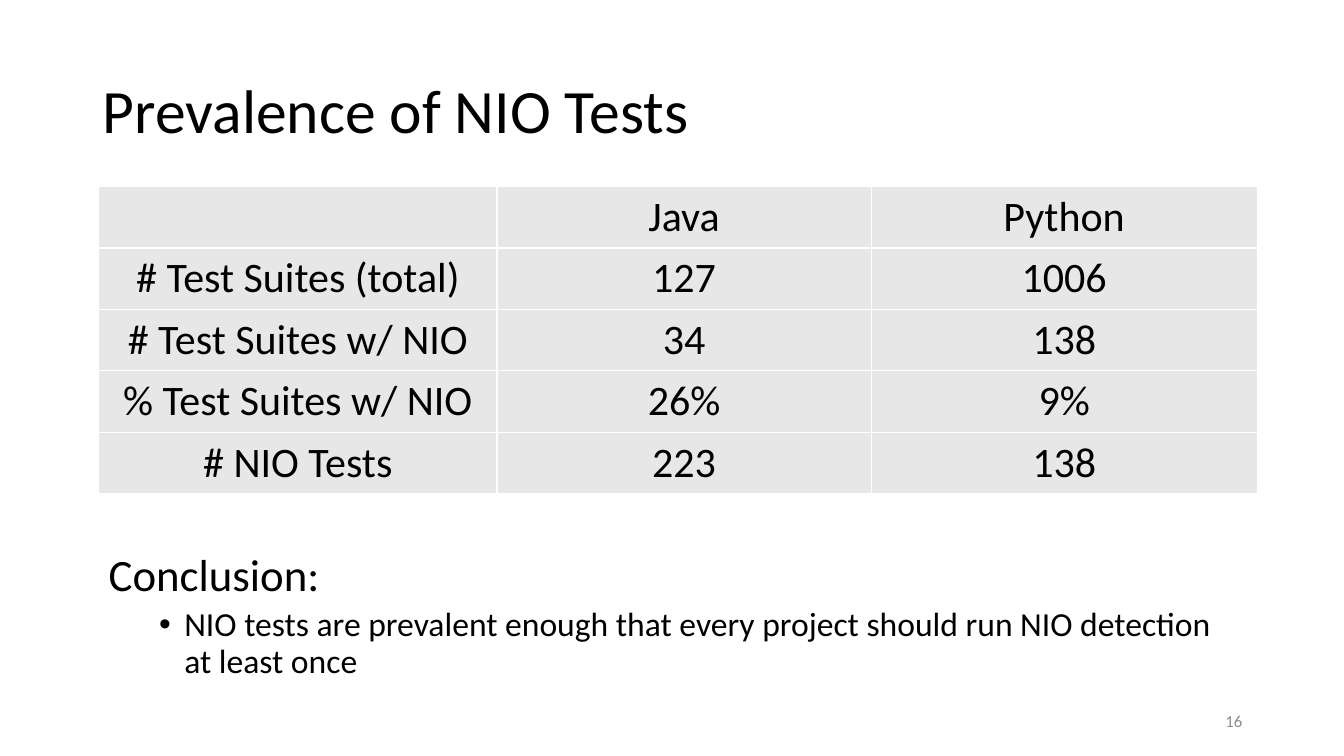
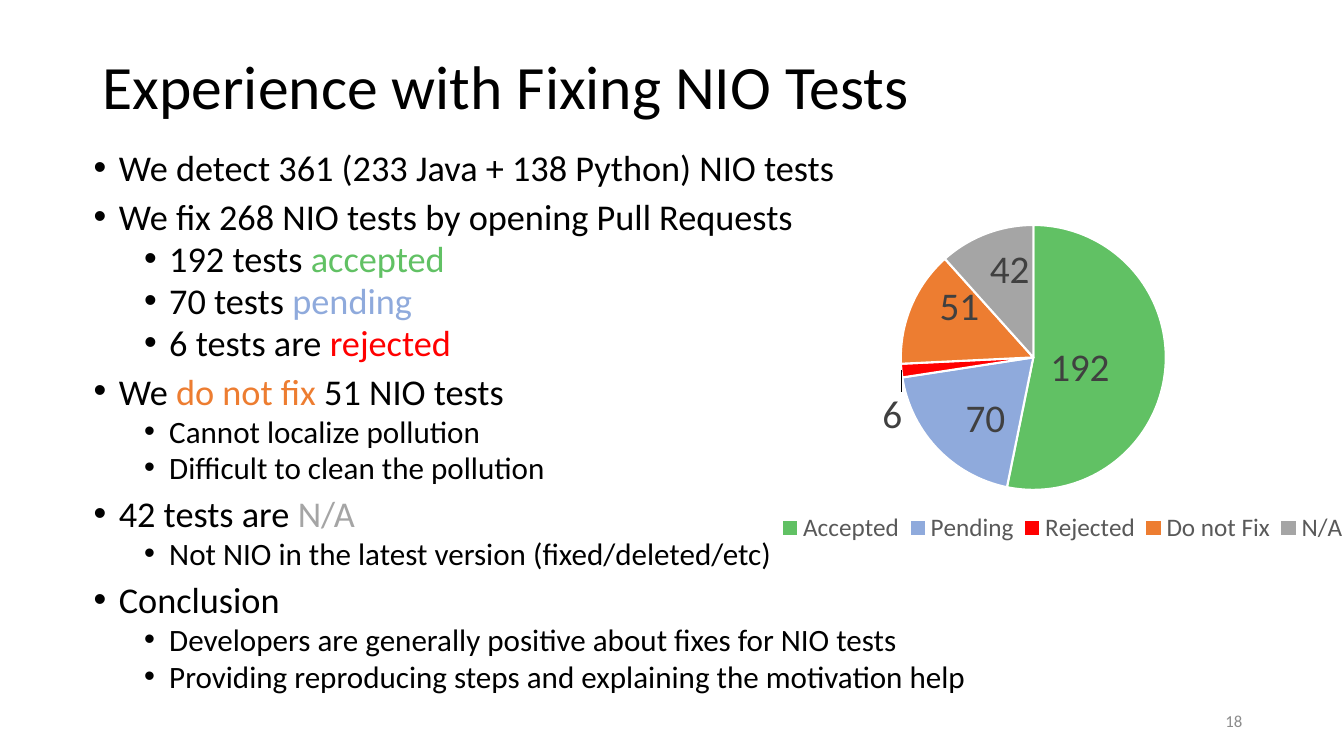
from dataclasses import dataclass

from lxml.etree import SubElement
from pptx import Presentation
from pptx.chart.data import CategoryChartData
from pptx.dml.color import RGBColor
from pptx.enum.chart import XL_CHART_TYPE, XL_LABEL_POSITION, XL_LEGEND_POSITION
from pptx.enum.text import MSO_ANCHOR, MSO_AUTO_SIZE, PP_ALIGN
from pptx.oxml import parse_xml
from pptx.oxml.ns import nsdecls, qn
from pptx.util import Inches, Pt

FONT = "Calibri"
BLACK = RGBColor(0x00, 0x00, 0x00)
WHITE = RGBColor(0xFF, 0xFF, 0xFF)
CELL = RGBColor(0xE7, 0xE7, 0xE7)
FOOT = RGBColor(0x8C, 0x8C, 0x8C)
LEGEND = RGBColor(0x59, 0x59, 0x59)
LABEL = RGBColor(0x40, 0x40, 0x40)
GREEN = RGBColor(0x61, 0xC1, 0x64)
BLUE = RGBColor(0x8F, 0xAA, 0xDC)
RED = RGBColor(0xFF, 0x00, 0x00)
ORANGE = RGBColor(0xED, 0x7D, 0x31)
GRAY = RGBColor(0xA5, 0xA5, 0xA5)


@dataclass(frozen=True)
class Span:
    text: str
    color: RGBColor = BLACK


@dataclass(frozen=True)
class Item:
    level: int
    size: float
    spans: tuple[Span, ...]
    bullet: bool = True


@dataclass(frozen=True)
class Slice:
    """One pie slice; dx and dy shift its label by a share of the chart."""
    name: str
    value: int
    color: RGBColor
    dx: float
    dy: float
    place: XL_LABEL_POSITION = XL_LABEL_POSITION.CENTER


ROWS = (
    ("", "Java", "Python"),
    ("# Test Suites (total)", "127", "1006"),
    ("# Test Suites w/ NIO", "34", "138"),
    ("% Test Suites w/ NIO", "26%", "9%"),
    ("# NIO Tests", "223", "138"),
)
WIDTHS = (3.95, 3.71, 3.83)
ROW_HEIGHT = 0.61

SUMMARY = (
    Item(0, 32, (Span("Conclusion:"),), bullet=False),
    Item(1, 24, (Span("NIO tests are prevalent enough that every project "
                      "should run NIO detection at least once"),)),
)

BIG, SMALL = 25.9, 22.2
FIXES = (
    Item(0, BIG, (Span("We detect 361 (233 Java + 138 Python) NIO tests"),)),
    Item(0, BIG, (Span("We fix 268 NIO tests by opening Pull Requests"),)),
    Item(1, BIG, (Span("192 tests "), Span("accepted", GREEN))),
    Item(1, BIG, (Span("70 tests "), Span("pending", BLUE))),
    Item(1, BIG, (Span("6 tests are "), Span("rejected", RED))),
    Item(0, BIG, (Span("We "), Span("do not fix ", ORANGE), Span("51 NIO tests"))),
    Item(1, SMALL, (Span("Cannot localize pollution"),)),
    Item(1, SMALL, (Span("Difficult to clean the pollution"),)),
    Item(0, BIG, (Span("42 tests are "), Span("N/A", GRAY))),
    Item(1, SMALL, (Span("Not NIO in the latest version (fixed/deleted/etc)"),)),
    Item(0, BIG, (Span("Conclusion"),)),
    Item(1, SMALL, (Span("Developers are generally positive about fixes for NIO tests"),)),
    Item(1, SMALL, (Span("Providing reproducing steps and explaining the motivation help"),)),
)

SLICES = (
    Slice("Accepted", 192, GREEN, -0.03, 0.01),
    Slice("Pending", 70, BLUE, 0, 0.04),
    Slice("Rejected", 6, RED, 0.01, 0.05, XL_LABEL_POSITION.OUTSIDE_END),
    Slice("Do not Fix", 51, ORANGE, -0.02, -0.06),
    Slice("N/A", 42, GRAY, 0, -0.06),
)


def style(font, size: float, color: RGBColor) -> None:
    font.name = FONT
    font.size = Pt(size)
    font.color.rgb = color


def add_page(deck, title: str, top: float, number: int):
    """Add a slide with its title and page number."""
    slide = deck.slides.add_slide(deck.slide_layouts[5])
    head = slide.shapes.title
    head.left, head.top = Inches(0.92), Inches(top)
    head.width, head.height = Inches(11.5), Inches(1.45)
    frame = head.text_frame
    frame.text = title
    frame.auto_size = MSO_AUTO_SIZE.NONE
    frame.vertical_anchor = MSO_ANCHOR.MIDDLE
    line = frame.paragraphs[0]
    line.alignment = PP_ALIGN.LEFT
    line.line_spacing = 0.9
    style(line.runs[0].font, 44, BLACK)

    foot = slide.shapes.add_textbox(Inches(9.42), Inches(6.95), Inches(3), Inches(0.4))
    foot.text_frame.text = str(number)
    foot.text_frame.word_wrap = True
    foot.text_frame.vertical_anchor = MSO_ANCHOR.MIDDLE
    line = foot.text_frame.paragraphs[0]
    line.alignment = PP_ALIGN.RIGHT
    style(line.runs[0].font, 12, FOOT)
    return slide


def add_list(slide, box: tuple[float, ...], items: tuple[Item, ...], spacing: float) -> None:
    frame = slide.shapes.add_textbox(*map(Inches, box)).text_frame
    frame.word_wrap = True
    for index, item in enumerate(items):
        line = frame.add_paragraph() if index else frame.paragraphs[0]
        line.level = item.level
        line.line_spacing = spacing
        line.space_before = Pt(5 if item.level else 10)
        if item.bullet:
            props = line._p.get_or_add_pPr()
            props.set("marL", str(Inches(0.25 + 0.5 * item.level)))
            props.set("indent", str(Inches(-0.25)))
            SubElement(props, qn("a:buFont")).set("typeface", "Arial")
            SubElement(props, qn("a:buChar")).set("char", "•")
        for span in item.spans:
            run = line.add_run()
            run.text = span.text
            style(run.font, item.size, span.color)


def add_borders(cell) -> None:
    props = cell._tc.get_or_add_tcPr()
    for side in ("lnL", "lnR", "lnT", "lnB"):
        props.append(parse_xml(
            f'<a:{side} {nsdecls("a")} w="{Pt(1)}"><a:solidFill>'
            f'<a:srgbClr val="{WHITE}"/></a:solidFill></a:{side}>'))


def add_grid(slide) -> None:
    table = slide.shapes.add_table(
        len(ROWS), len(WIDTHS), Inches(0.98), Inches(1.85),
        Inches(sum(WIDTHS)), Inches(ROW_HEIGHT * len(ROWS))).table
    table.first_row = table.horz_banding = False
    for column, width in zip(table.columns, WIDTHS):
        column.width = Inches(width)
    for row, texts in zip(table.rows, ROWS):
        row.height = Inches(ROW_HEIGHT)
        for cell, text in zip(row.cells, texts):
            add_borders(cell)
            cell.fill.solid()
            cell.fill.fore_color.rgb = CELL
            cell.text = text
            line = cell.text_frame.paragraphs[0]
            line.alignment = PP_ALIGN.CENTER
            for run in line.runs:
                style(run.font, 30, BLACK)


def make_layout(**values: str | float):
    """Build a manual chart layout from its settings, given in schema order."""
    tags = "".join(f'<c:{name} val="{value}"/>' for name, value in values.items())
    return parse_xml(f'<c:layout {nsdecls("c")}><c:manualLayout>{tags}'
                     '</c:manualLayout></c:layout>')


def set_layout(parent, index: int, layout) -> None:
    for old in parent.findall(qn("c:layout")):
        parent.remove(old)
    parent.insert(index, layout)


def add_pie(slide) -> None:
    data = CategoryChartData()
    data.categories = [wedge.name for wedge in SLICES]
    data.add_series("Series 1", [wedge.value for wedge in SLICES])
    chart = slide.shapes.add_chart(
        XL_CHART_TYPE.PIE, Inches(7.14), Inches(1.61),
        Inches(6.41), Inches(4.12), data).chart
    style(chart.font, 10, BLACK)
    chart.has_title = False
    chart.has_legend = True
    legend = chart.legend
    legend.position = XL_LEGEND_POSITION.BOTTOM
    legend.include_in_layout = False
    style(legend.font, 18, LEGEND)
    set_layout(legend._element, 1, make_layout(
        xMode="edge", yMode="edge", x=0.08, y=0.83, w=0.9, h=0.1))
    set_layout(chart._chartSpace.chart.plotArea, 0, make_layout(
        layoutTarget="inner", xMode="edge", yMode="edge", x=0.28, y=0.15, w=0.41, h=0.64))

    plot = chart.plots[0]
    plot.vary_by_categories = True
    for index, wedge in enumerate(SLICES):
        point = plot.series[0].points[index]
        point.format.fill.solid()
        point.format.fill.fore_color.rgb = wedge.color
        point.format.line.color.rgb = WHITE
        point.format.line.width = Pt(1.5)
        label = point.data_label
        style(label.font, 28, LABEL)
        label.position = wedge.place
        mark = label._get_or_add_dLbl()
        set_layout(mark, 1, make_layout(x=wedge.dx, y=wedge.dy))


def main() -> None:
    deck = Presentation()
    deck.slide_width, deck.slide_height = Inches(13.33), Inches(7.5)

    slide = add_page(deck, "Prevalence of NIO Tests", 0.4, 16)
    add_grid(slide)
    add_list(slide, (0.98, 5.43, 11.17, 1.51), SUMMARY, 0.9)

    slide = add_page(deck, "Experience with Fixing NIO Tests", 0.16, 18)
    add_list(slide, (0.83, 1.48, 11.68, 5.59), FIXES, 0.8)
    add_pie(slide)

    deck.save("out.pptx")


if __name__ == "__main__":
    main()
